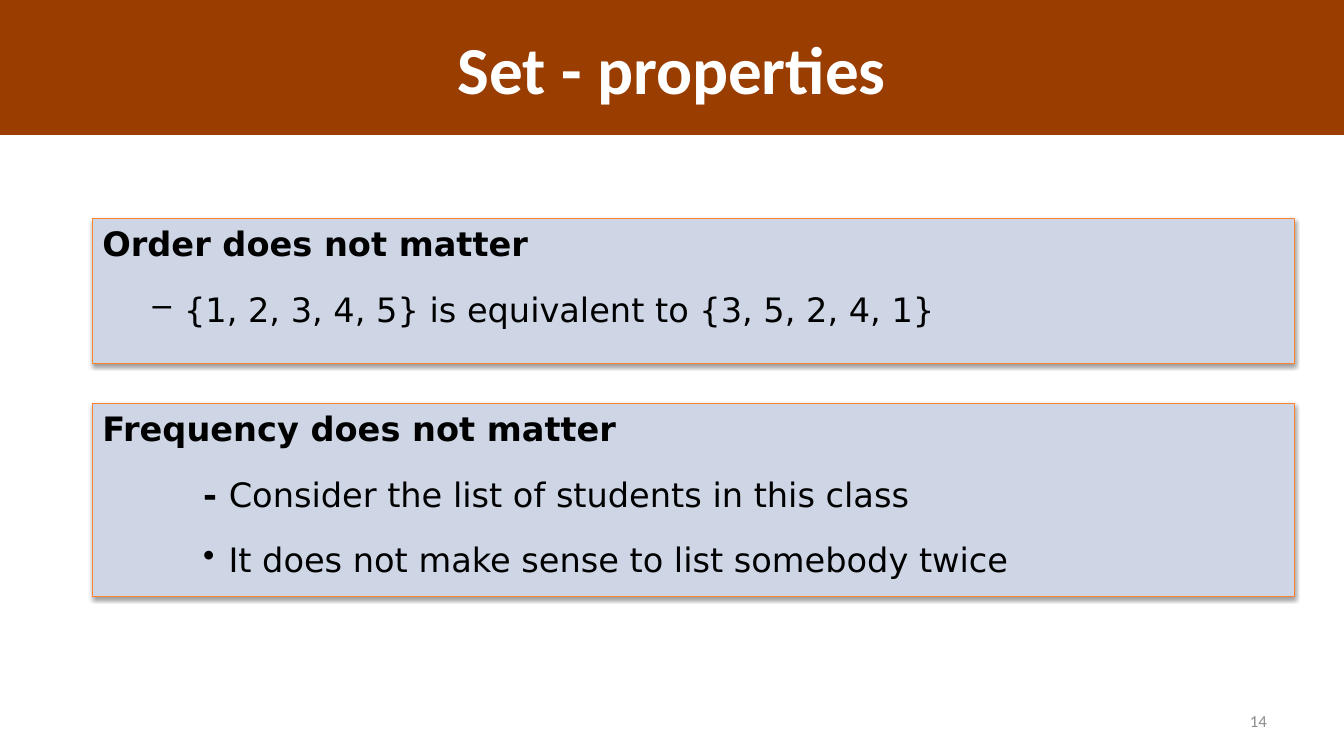
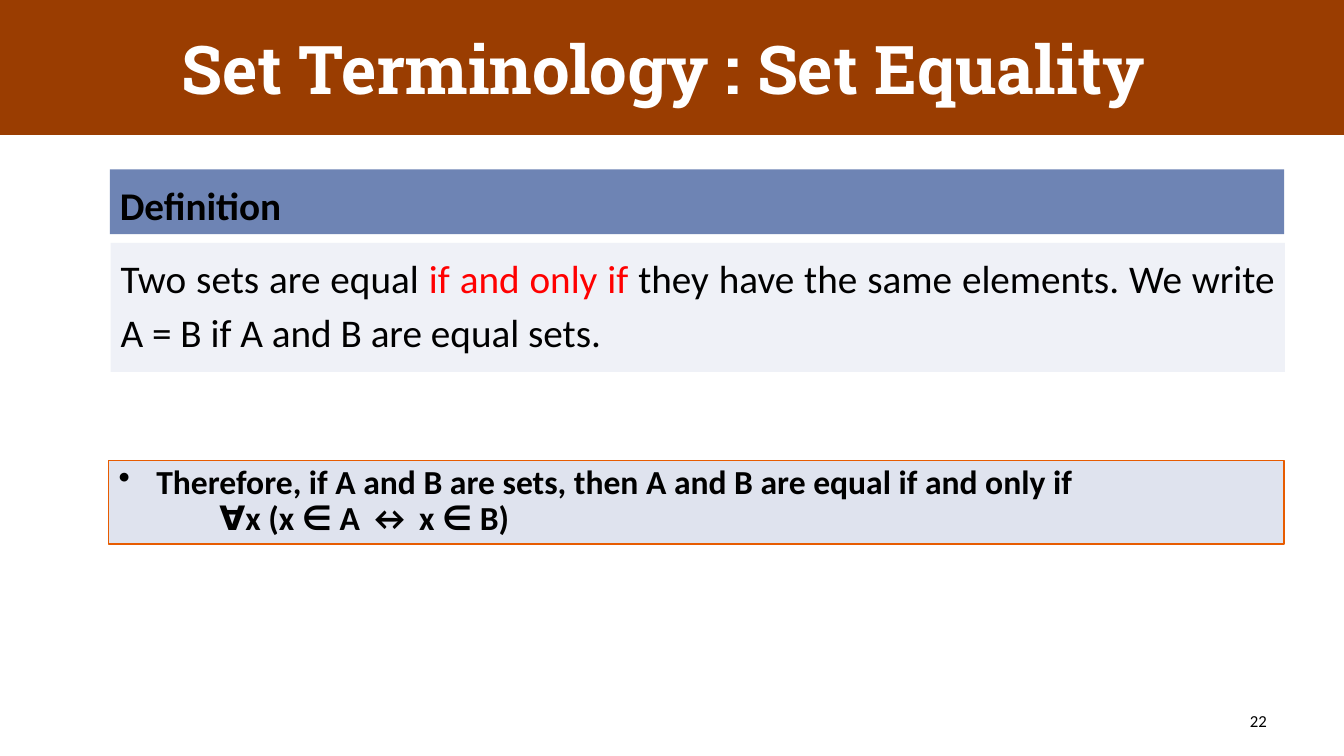
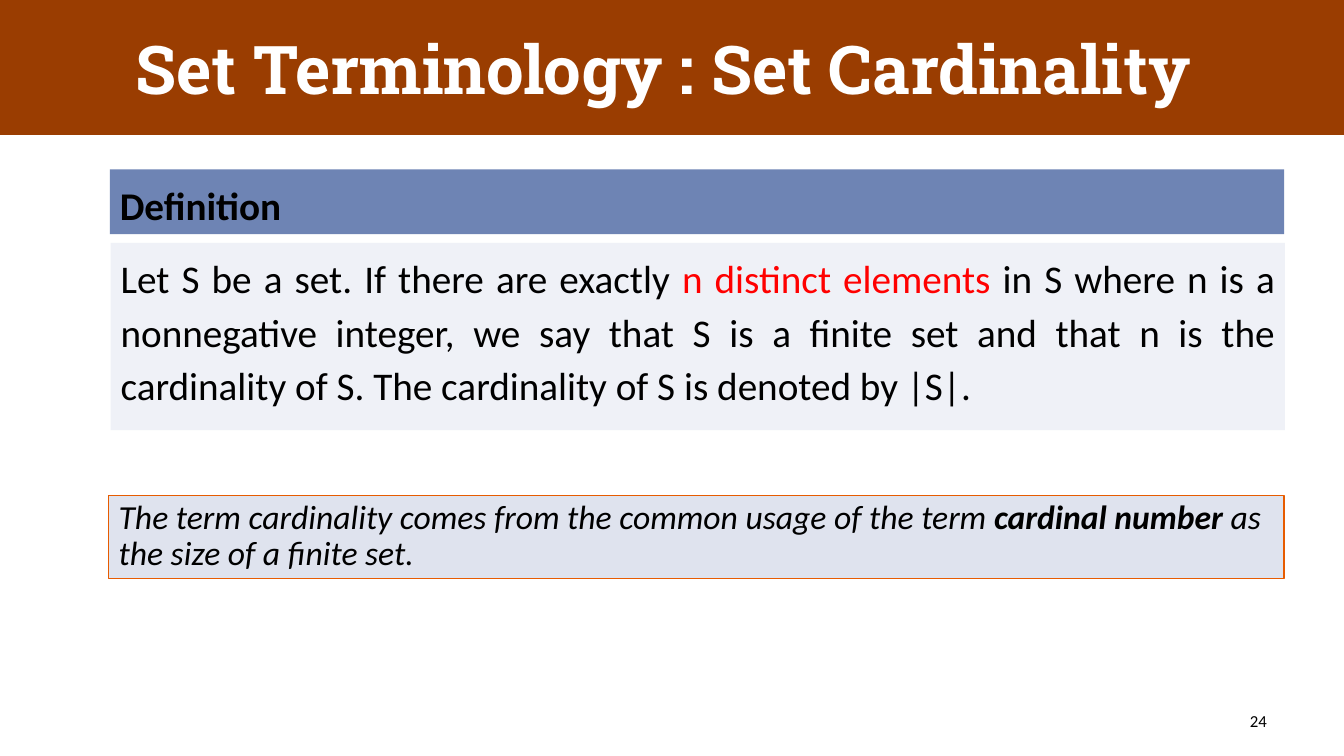
from lxml.etree import SubElement
from pptx import Presentation
from pptx.dml.color import RGBColor
from pptx.enum.shapes import MSO_SHAPE
from pptx.enum.text import MSO_ANCHOR, MSO_AUTO_SIZE, PP_ALIGN
from pptx.oxml.ns import qn
from pptx.util import Cm, Pt

BLACK = RGBColor(0x00, 0x00, 0x00)
WHITE = RGBColor(0xFF, 0xFF, 0xFF)
GRAY = RGBColor(0x8C, 0x8C, 0x8C)
RED = RGBColor(0xFF, 0x00, 0x00)
BROWN = RGBColor(0x9A, 0x3D, 0x01)
ORANGE = RGBColor(0xFD, 0x82, 0x31)
DARK_ORANGE = RGBColor(0xE7, 0x5C, 0x01)
BLUE = RGBColor(0x6E, 0x84, 0xB4)
LIGHT_BLUE = RGBColor(0xCE, 0xD6, 0xE6)
PALE_BLUE = RGBColor(0xDF, 0xE3, 0xEE)
PALE = RGBColor(0xEF, 0xF1, 0xF7)


def write(tf, *runs, size=24, font="Calibri", color=BLACK, bold=False, italic=False,
          align=PP_ALIGN.LEFT, spacing=None, before=0, after=0, left=0, hang=0, bullet=None):
    p = tf.paragraphs[0]
    if p.runs:
        p = tf.add_paragraph()
    p.alignment, p.line_spacing = align, spacing
    p.space_before, p.space_after = Pt(before), Pt(after)
    pPr = p._p.get_or_add_pPr()
    pPr.set("marL", str(Cm(left)))
    pPr.set("indent", str(-Cm(hang)))
    if bullet:
        clr = SubElement(pPr, qn("a:buClr"))
        SubElement(clr, qn("a:srgbClr"), val=str(BLACK))
        SubElement(pPr, qn("a:buChar"), char=bullet)
    for run in runs:
        text, own = (run, {}) if isinstance(run, str) else run
        r = p.add_run()
        r.text = text
        r.font.size, r.font.name = Pt(size), font
        r.font.bold, r.font.italic = own.get("bold", bold), italic
        r.font.color.rgb = own.get("color", color)


def add_box(s, left, top, width, height, fill, line=None, shadow=False):
    sp = s.shapes.add_shape(MSO_SHAPE.RECTANGLE, Cm(left), Cm(top), Cm(width), Cm(height))
    sp.fill.solid()
    sp.fill.fore_color.rgb = fill
    if line:
        sp.line.color.rgb = line
        sp.line.width = Pt(0.75)
    else:
        sp.line.fill.background()
    sp.shadow.inherit = False
    if shadow:
        effects = sp._element.spPr.find(qn("a:effectLst"))
        outer = SubElement(effects, qn("a:outerShdw"), blurRad=str(Pt(3.1)),
                           dist=str(Pt(1.6)), dir="5400000", rotWithShape="0")
        clr = SubElement(outer, qn("a:srgbClr"), val=str(BLACK))
        SubElement(clr, qn("a:alpha"), val="38000")
    tf = sp.text_frame
    tf.word_wrap = True
    tf.vertical_anchor = MSO_ANCHOR.TOP
    return tf


prs = Presentation()
prs.slide_width, prs.slide_height = Cm(33.87), Cm(19.05)

slides = []
for title, font, number, number_color in [
    ("Set - properties", "Calibri", "14", GRAY),
    ("Set Terminology : Set Equality ", "Roboto Slab", "22", BLACK),
    ("Set Terminology : Set Cardinality ", "Roboto Slab", "24", BLACK),
]:
    s = prs.slides.add_slide(prs.slide_layouts[5])
    band = s.shapes.title
    band.left, band.top, band.width, band.height = 0, 0, prs.slide_width, Cm(3.4)
    band.fill.solid()
    band.fill.fore_color.rgb = BROWN
    tf = band.text_frame
    tf.auto_size = MSO_AUTO_SIZE.NONE
    tf.vertical_anchor = MSO_ANCHOR.MIDDLE
    write(tf, title, size=48, font=font, color=WHITE, bold=True, align=PP_ALIGN.CENTER)

    tf = s.shapes.add_textbox(Cm(24.28), Cm(17.65), Cm(7.9), Cm(1.02)).text_frame
    tf.word_wrap = True
    tf.vertical_anchor = MSO_ANCHOR.MIDDLE
    write(tf, number, size=12, color=number_color, align=PP_ALIGN.RIGHT)
    slides.append(s)

properties, equality, cardinality = slides

item = dict(font="DejaVu Sans", before=12, after=6)
tf = add_box(properties, 2.33, 5.5, 30.3, 3.66, LIGHT_BLUE, ORANGE, shadow=True)
write(tf, "Order does not matter", bold=True, **item)
write(tf, "{1, 2, 3, 4, 5} is equivalent to {3, 5, 2, 4, 1}",
      left=2.06, hang=0.79, bullet="–", **item)

tf = add_box(properties, 2.33, 10.16, 30.3, 4.88, LIGHT_BLUE, ORANGE, shadow=True)
write(tf, "Frequency does not matter ", bold=True, **item)
write(tf, ("- ", dict(bold=True)), "Consider the list of students in this class",
      left=2.54, **item)
write(tf, "It does not make sense to list somebody twice",
      left=3.18, hang=0.64, bullet="•", **item)

for s, height, definition in [
    (equality, 3.25, [
        "Two sets are equal ",
        ("if and only if", dict(color=RED)),
        " they have the same elements. We write A = B if A and B are equal sets."]),
    (cardinality, 4.72, [
        "Let S be a set. If there are exactly ",
        ("n distinct elements ", dict(color=RED)),
        "in S where n is a nonnegative integer, we say that S is a finite set and that n is "
        "the cardinality of S. The cardinality of S is denoted by |S|."]),
]:
    tf = add_box(s, 2.77, 4.27, 29.59, 1.63, BLUE)
    write(tf, "Definition", size=28, bold=True, spacing=1.14, before=10)
    tf = add_box(s, 2.79, 6.12, 29.59, height, PALE)
    write(tf, *definition, size=28, align=PP_ALIGN.JUSTIFY, spacing=1.14)

tf = add_box(equality, 2.74, 11.6, 29.62, 2.11, PALE_BLUE, DARK_ORANGE)
write(tf, "Therefore, if A and B are sets, then A and B are equal if and only if ",
      bold=True, spacing=0.9, left=0.95, hang=0.95, bullet="•")
write(tf, "∀x (x ∈ A ↔ x ∈ B)", bold=True, spacing=0.9, left=2.54)

tf = add_box(cardinality, 2.74, 12.48, 29.62, 2.11, PALE_BLUE, DARK_ORANGE)
note = dict(italic=True, align=PP_ALIGN.JUSTIFY, spacing=0.9)
write(tf, "The term cardinality comes from the common usage of the term ",
      ("cardinal number ", dict(bold=True)), "as", **note)
write(tf, "the size of a finite set.", **note)

prs.save("out.pptx")
